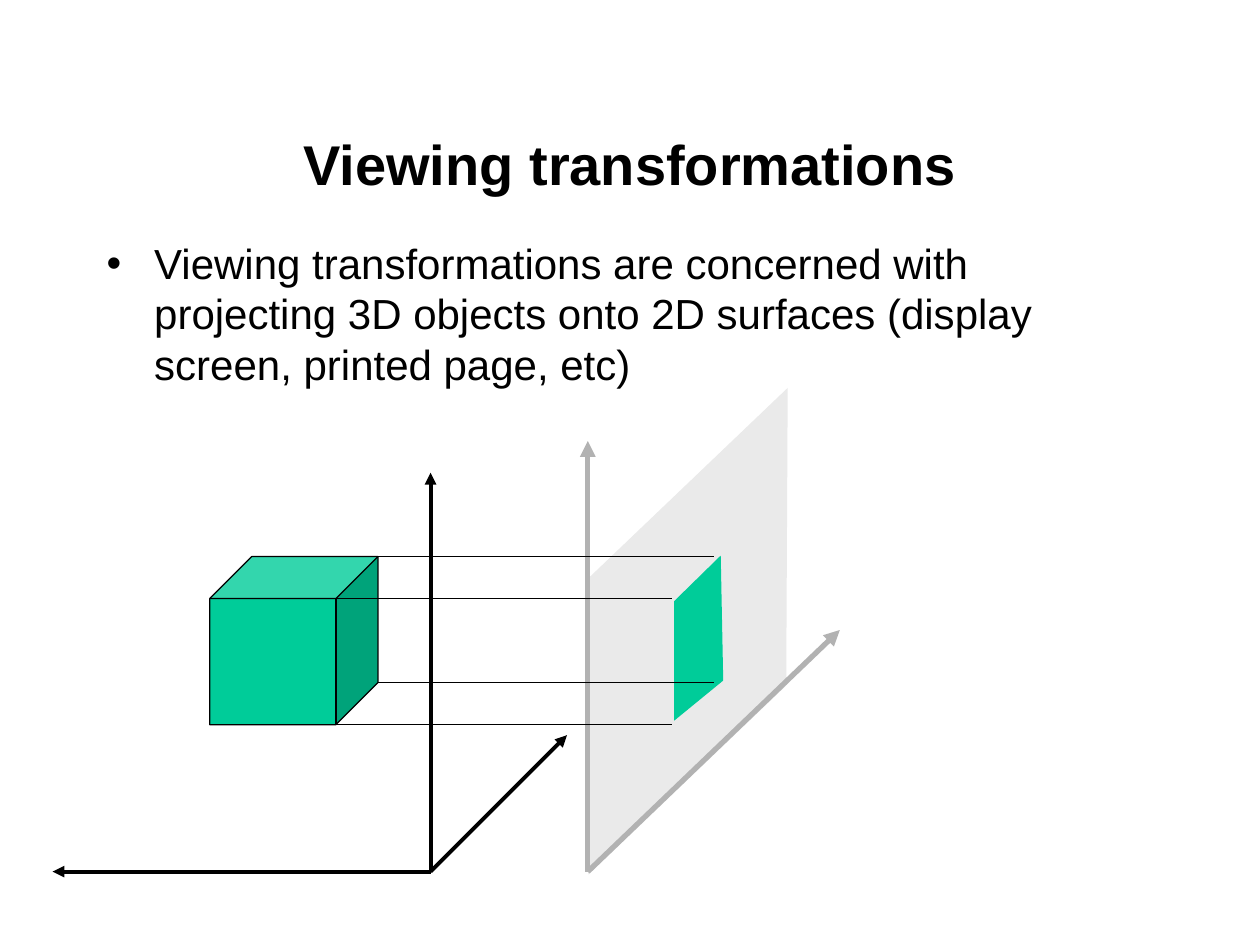
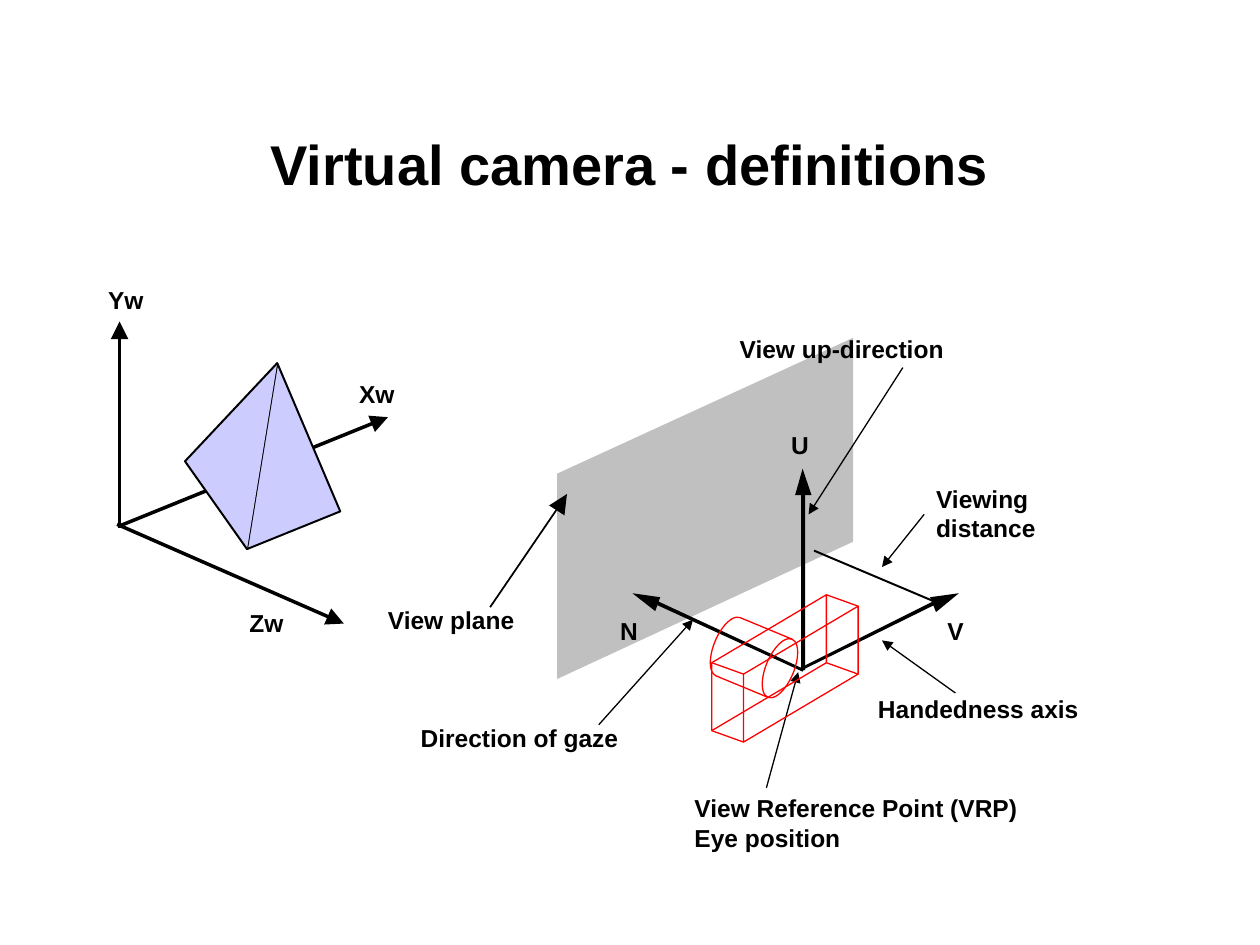
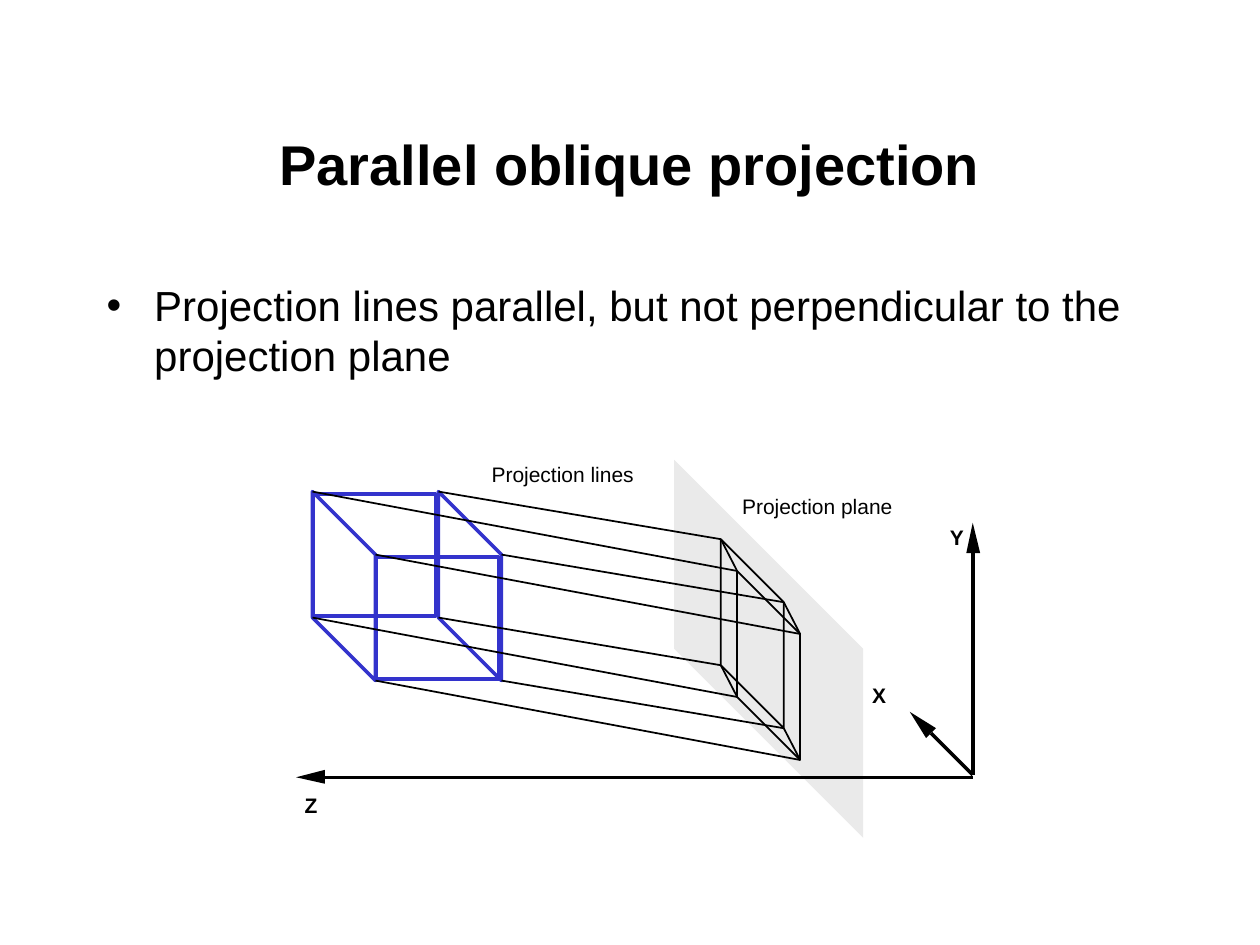
from lxml.etree import SubElement
from pptx import Presentation
from pptx.dml.color import RGBColor
from pptx.enum.shapes import MSO_CONNECTOR, MSO_SHAPE
from pptx.enum.text import MSO_ANCHOR, MSO_AUTO_SIZE, PP_ALIGN
from pptx.oxml.ns import qn
from pptx.util import Cm, Pt

FONT = "Arial"
COLORS = {
    "black": "000000",
    "green": "00CC99",
    "pale grey": "EAEAEA",
    "axis grey": "B2B2B2",
    "plane grey": "C0C0C0",
    "red": "FF0000",
    "lilac": "CCCCFF",
    "blue": "3333CC",
}
RGB = {name: RGBColor.from_string(value) for name, value in COLORS.items()}


def draw_figure(slide, points, fill=None, line=None, width=0.75, preset=None, closed=True):
    """Draw a freeform through points, or a preset between its two opposite corners."""
    corners = [(Cm(x), Cm(y)) for x, y in points]
    if preset is None:
        builder = slide.shapes.build_freeform(*corners[0], scale=1.0)
        builder.add_line_segments(corners[1:], close=closed)
        figure = builder.convert_to_shape()
    else:
        (left, top), (right, bottom) = corners
        figure = slide.shapes.add_shape(preset, left, top, right - left, bottom - top)
    figure.shadow.inherit = False
    if fill:
        figure.fill.solid()
        figure.fill.fore_color.rgb = RGB[fill]
    else:
        figure.fill.background()
    if line:
        figure.line.color.rgb = RGB[line]
        figure.line.width = Pt(width)
    else:
        figure.line.fill.background()
    return figure


def draw_line(slide, start, end, color="black", width=0.75, arrow=None):
    """Draw a straight line; arrow is the size of its head, "med" or "lg"."""
    ends = [Cm(value) for value in (*start, *end)]
    connector = slide.shapes.add_connector(MSO_CONNECTOR.STRAIGHT, *ends)
    connector.line.color.rgb = RGB[color]
    connector.line.width = Pt(width)
    if arrow:
        SubElement(connector.line._get_or_add_ln(), qn("a:tailEnd"),
                   type="triangle", w=arrow, len=arrow)
    SubElement(connector._element.spPr, qn("a:effectLst"))


prs = Presentation()
prs.slide_width, prs.slide_height = Cm(25.4), Cm(19.05)

# Titles and bullets: title, bullet, top and height of the bullet
contents = [
    ("Viewing transformations",
     "Viewing transformations are concerned with projecting 3D objects onto 2D surfaces "
     "(display screen, printed page, etc)", 4.66, 3.45),
    ("Virtual camera - definitions", None, 0, 0),
    ("Parallel oblique projection",
     "Projection lines parallel, but not perpendicular to the projection plane", 5.51, 2.74),
]
for heading, statement, top, height in contents:
    slide = prs.slides.add_slide(prs.slide_layouts[5])
    title = slide.shapes.title
    title.left, title.top, title.width, title.height = Cm(1.9), Cm(1.7), Cm(21.6), Cm(3.18)
    title.text_frame.text = heading
    title.text_frame.auto_size = MSO_AUTO_SIZE.NONE
    title.text_frame.vertical_anchor = MSO_ANCHOR.MIDDLE
    paragraph = title.text_frame.paragraphs[0]
    paragraph.alignment = PP_ALIGN.CENTER
    paragraph.space_before, paragraph.space_after = Pt(12), Pt(6)
    paragraph.font.name, paragraph.font.size, paragraph.font.bold = FONT, Pt(32), True
    paragraph.font.color.rgb = RGB["black"]
    if statement:
        body = slide.shapes.add_textbox(Cm(1.9), Cm(top), Cm(21.6), Cm(height)).text_frame
        body.word_wrap = True
        body.text = statement
        paragraph = body.paragraphs[0]
        properties = paragraph._p.get_or_add_pPr()
        properties.set("marL", str(Cm(0.96)))
        properties.set("indent", str(-Cm(0.96)))
        SubElement(properties, qn("a:buFont"), typeface=FONT)
        SubElement(properties, qn("a:buChar"), char="•")
        paragraph.space_before = Pt(6)
        paragraph.font.name, paragraph.font.size = FONT, Pt(24)
        paragraph.font.color.rgb = RGB["black"]

viewing, camera, oblique = prs.slides

# Viewing transformations: a cube projected onto a plane
cube_left, cube_top, cube_side, cube_depth = 4.23, 11.22, 3.39, 0.85
cube_right, cube_bottom = cube_left + cube_side, cube_top + cube_side
draw_figure(viewing, [(cube_left, cube_top), (cube_right, cube_bottom)],
            "green", "black", preset=MSO_SHAPE.CUBE)
draw_figure(viewing, [(11.86, 11.66), (15.88, 7.82), (15.85, 13.82), (11.86, 17.63)], "pale grey")
draw_figure(viewing, [(13.59, 12.12), (14.53, 11.2), (14.58, 13.72), (13.59, 14.53)], "green")
for tip in [(8.68, 9.53), (1.06, 17.57), (11.43, 14.82)]:
    draw_line(viewing, (8.68, 17.57), tip, width=2.25, arrow="med")
for tip in [(11.85, 8.89), (16.93, 12.7)]:
    draw_line(viewing, (11.85, 17.57), tip, "axis grey", 3, arrow="med")
for x, y in [(cube_right - cube_depth, cube_top + cube_depth),
             (cube_right - cube_depth, cube_bottom),
             (cube_right, cube_bottom - cube_depth),
             (cube_right, cube_top)]:
    draw_line(viewing, (x, y), (x + 6.77, y))

# Virtual camera: world axes, view plane and camera axes
for origin, tip in [((2.36, 10.57), (6.93, 12.57)),
                    ((2.44, 10.59), (7.82, 8.41)),
                    ((2.41, 10.64), (2.41, 6.48))]:
    draw_line(camera, origin, tip, width=2, arrow="lg")
draw_figure(camera, [(11.23, 13.69), (17.2, 10.92), (17.2, 6.81), (11.23, 9.55)], "plane grey")
draw_line(camera, (9.88, 12.24), (11.23, 10.26), width=1)
camera_arrow_parts = [
    [(11.38, 10.39), (11.43, 9.96), (11.07, 10.19)],
    [(16.18, 13.44), (16.21, 13.49), (18.85, 12.19), (18.82, 12.12)],
    [(16.18, 9.45), (16.36, 9.98), (16.03, 9.98)],
    [(19.33, 11.96), (18.87, 12.34), (18.75, 12.04)],
    [(12.75, 11.96), (13.31, 12.04), (13.21, 12.32)],
    [(16.18, 13.54), (16.21, 13.49), (13.26, 12.12), (13.23, 12.19)],
]
for part in camera_arrow_parts:
    draw_figure(camera, part, "black")
draw_figure(camera, [(16.15, 9.98), (16.23, 13.51)], "black", preset=MSO_SHAPE.RECTANGLE)

label_pointers = [
    ((12.07, 14.61), (13.97, 12.49)),
    ((15.45, 15.88), (16.09, 13.55)),
    ((19.26, 13.97), (17.78, 12.91)),
    ((18.63, 10.37), (17.78, 11.43)),
    ((18.2, 7.41), (16.3, 10.37)),
]
for start, end in label_pointers:
    draw_line(camera, start, end, arrow="med")
draw_line(camera, (16.41, 11.1), (18.87, 12.14), width=1.13)

lens = draw_figure(camera, [(14.35, 12.62), (16.05, 13.89)], line="red",
                   preset=MSO_SHAPE.FLOWCHART_DIRECT_ACCESS_STORAGE)
lens.rotation = 22.5
far_side = [(14.35, 13.36), (16.66, 11.99), (16.66, 13.36), (14.35, 14.73)]
near_side = [(x + 0.64, y + 0.23) for x, y in far_side]
for side in (far_side, near_side):
    draw_figure(camera, side, line="red")
for far, near in zip(far_side, near_side):
    draw_line(camera, far, near, "red")

apex, right_foot, front_foot, left_foot = (5.59, 7.32), (6.86, 10.31), (4.98, 11.07), (3.73, 9.3)
draw_figure(camera, [apex, right_foot, front_foot], "lilac", "black", 1.13)
draw_figure(camera, [apex, left_foot, front_foot], "lilac")
draw_figure(camera, [apex, left_foot, front_foot], line="black", width=1.13, closed=False)

# Parallel oblique projection: plane, axes, wire cube and its image
draw_figure(oblique, [(17.4, 16.89), (13.59, 13.08), (13.59, 9.27), (17.4, 13.08)], "pale grey")
axes = [
    ([(19.61, 10.54), (19.76, 11.15), (19.48, 11.15)], (19.61, 11.15), (19.61, 15.62)),
    ([(5.97, 15.67), (6.55, 15.52), (6.55, 15.8)], (6.55, 15.67), (19.61, 15.67)),
    ([(18.34, 14.35), (18.87, 14.68), (18.67, 14.88)], (18.77, 14.78), (19.61, 15.62)),
]
for head, start, end in axes:
    draw_figure(oblique, head, "black")
    draw_line(oblique, start, end, width=2)

for left, top in [(7.59, 11.23), (6.32, 9.96)]:
    draw_figure(oblique, [(left, top), (left + 2.46, top + 2.46)], line="blue", width=2,
                preset=MSO_SHAPE.RECTANGLE)
side_offsets = [(0, 0), (1.27, 1.27), (1.27, 3.81), (0, 2.54)]
cube_left_side, cube_right_side, image_left_side, image_right_side = [
    [(x + dx, y + dy) for dx, dy in side_offsets]
    for x, y in [(6.3, 9.91), (8.84, 9.91), (14.86, 11.51), (14.53, 10.87)]
]
for side in (cube_left_side, cube_right_side):
    draw_figure(oblique, side, line="blue", width=2)
for side in (image_left_side, image_right_side):
    draw_figure(oblique, side, line="black", width=1)
for starts, ends in [(cube_left_side, image_left_side),
                     (cube_right_side, image_right_side),
                     (image_right_side, image_left_side)]:
    for start, end in zip(starts, ends):
        draw_line(oblique, start, end, width=1)

# Labels: slide, size, bold, then text with left, top and width
label_sets = [
    (camera, 14, True, [
        ("Xw", 7.24, 7.65, 0.85),
        ("Yw", 2.18, 5.75, 0.85),
        ("Zw", 5.03, 12.25, 0.85),
        ("View plane", 7.82, 12.19, 2.7),
        ("V", 19.1, 12.42, 0.4),
        ("U", 15.95, 8.66, 0.45),
        ("N", 12.5, 12.42, 0.45),
        ("Direction of gaze", 8.48, 14.58, 4.15),
        ("View Reference Point (VRP)\nEye position", 14, 15.99, 6.7),
        ("Handedness axis", 17.7, 14, 4.25),
        ("Viewing\ndistance", 18.87, 9.75, 2.15),
        ("View up-direction", 14.91, 6.73, 4.3),
    ]),
    (oblique, 12, True, [
        ("X", 17.58, 13.75, 0.35),
        ("Y", 19.15, 10.57, 0.35),
        ("Z", 6.14, 15.98, 0.35),
    ]),
    (oblique, 12, False, [
        ("Projection plane", 14.96, 9.94, 3.35),
        ("Projection lines", 9.91, 9.3, 3.2),
    ]),
]
for slide, size, bold, labels in label_sets:
    for text, left, top, width in labels:
        height = size / 24 * (text.count("\n") + 1)
        frame = slide.shapes.add_textbox(Cm(left), Cm(top), Cm(width), Cm(height)).text_frame
        frame.margin_left = frame.margin_top = frame.margin_right = frame.margin_bottom = 0
        frame.word_wrap = False
        frame.auto_size = MSO_AUTO_SIZE.SHAPE_TO_FIT_TEXT
        frame.text = text
        for paragraph in frame.paragraphs:
            paragraph.font.name, paragraph.font.size, paragraph.font.bold = FONT, Pt(size), bold
            paragraph.font.color.rgb = RGB["black"]

prs.save("out.pptx")
